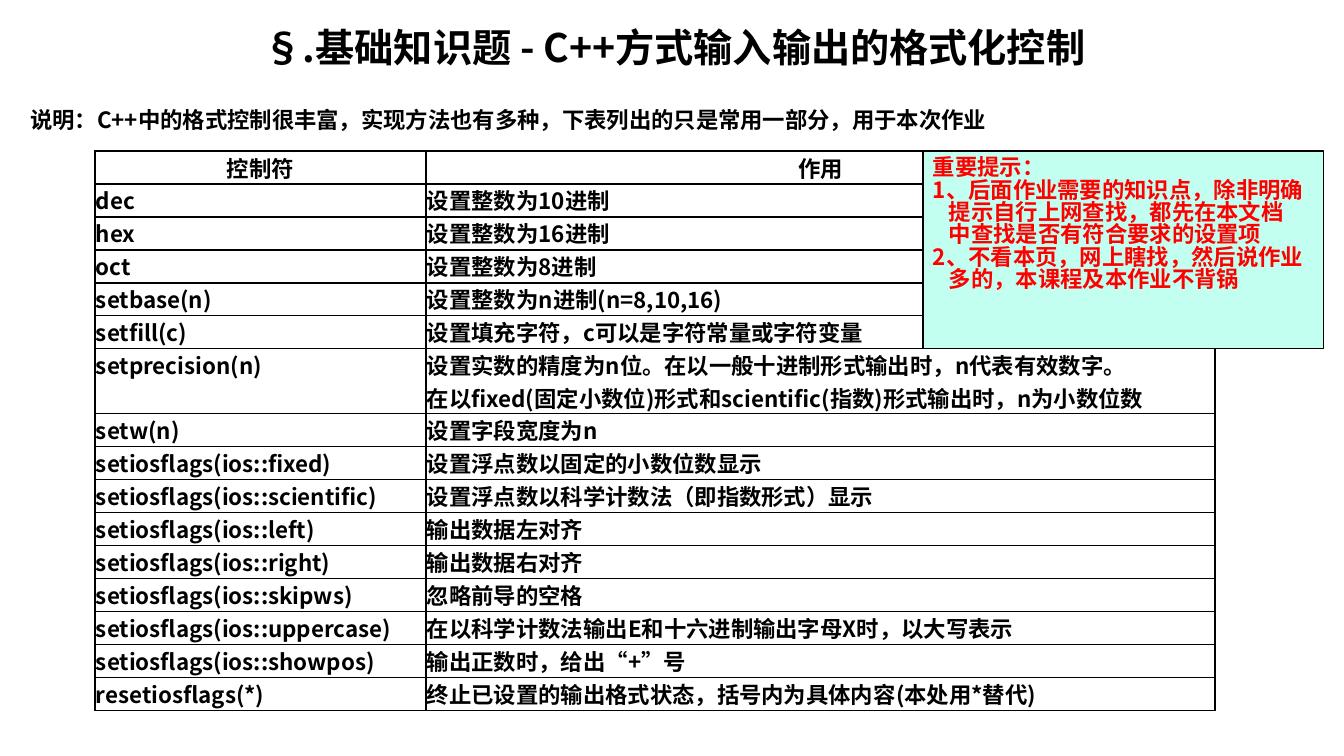
"""Build the slide on formatted input and output control in C++."""
from dataclasses import dataclass

from lxml.etree import SubElement
from pptx import Presentation
from pptx.dml.color import RGBColor
from pptx.enum.shapes import MSO_SHAPE as Shape
from pptx.enum.text import MSO_ANCHOR as Anchor, PP_ALIGN as Align
from pptx.oxml.ns import qn
from pptx.util import Pt

TITLE = "§.基础知识题 - C++方式输入输出的格式化控制"
INTRO = "说明：C++中的格式控制很丰富，实现方法也有多种，下表列出的只是常用一部分，用于本次作业"
HEADER = ("控制符", "作用")
CONTROLS = [
    ("dec", "设置整数为10进制"),
    ("hex", "设置整数为16进制"),
    ("oct", "设置整数为8进制"),
    ("setbase(n)", "设置整数为n进制(n=8,10,16)"),
    ("setfill(c)", "设置填充字符，c可以是字符常量或字符变量"),
    ("setprecision(n)", "设置实数的精度为n位。在以一般十进制形式输出时，n代表有效数字。\n"
     "在以fixed(固定小数位)形式和scientific(指数)形式输出时，n为小数位数"),
    ("setw(n)", "设置字段宽度为n"),
    ("setiosflags(ios::fixed)", "设置浮点数以固定的小数位数显示"),
    ("setiosflags(ios::scientific)", "设置浮点数以科学计数法（即指数形式）显示"),
    ("setiosflags(ios::left)", "输出数据左对齐"),
    ("setiosflags(ios::right)", "输出数据右对齐"),
    ("setiosflags(ios::skipws)", "忽略前导的空格"),
    ("setiosflags(ios::uppercase)", "在以科学计数法输出E和十六进制输出字母X时，以大写表示"),
    ("setiosflags(ios::showpos)", "输出正数时，给出“+”号"),
    ("resetiosflags(*)", "终止已设置的输出格式状态，括号内为具体内容(本处用*替代)"),
]
REMINDER = [
    ("重要提示：", 0),
    ("1、后面作业需要的知识点，除非明确", 0),
    ("提示自行上网查找，都先在本文档", 16),
    ("中查找是否有符合要求的设置项", 16),
    ("2、不看本页，网上瞎找，然后说作业", 0),
    ("多的，本课程及本作业不背锅", 16),
]

SLIDE_SIZE = (1344, 756)
TITLE_BOX = (20, 18, 1309, 58)
INTRO_BOX = (20, 104, 1309, 32)
TABLE_ORIGIN = (95, 151)
COLUMN_WIDTHS = (331, 789)
ROW_HEIGHT, EXTRA_LINE = 33, 32
REMINDER_BOX = (923, 151, 401, 198)


@dataclass(frozen=True)
class Theme:
    """Colours, font and type sizes of the slide."""
    font: str = "Noto Sans CJK SC"
    ink: RGBColor = RGBColor(0, 0, 0)
    alert: RGBColor = RGBColor(255, 0, 0)
    paper: RGBColor = RGBColor(255, 255, 255)
    mint: RGBColor = RGBColor(0xC2, 0xFF, 0xF0)
    title_size: int = 28
    text_size: int = 16


THEME = Theme()


def px(length):
    """Turn pixels into EMU."""
    return round(length * 914400 / 100.8)


def set_all(target, values):
    """Set each attribute of the target from a dict."""
    for name, value in values.items():
        setattr(target, name, value)


def place(shape, box):
    """Move and size a shape."""
    set_all(shape, dict(zip(("left", "top", "width", "height"), map(px, box))))


def write(paragraph, text, size=THEME.text_size, color=THEME.ink, align=Align.LEFT, indent=0):
    """Fill a paragraph with one bold run, without a bullet."""
    set_all(paragraph, {"alignment": align, "space_before": Pt(0)})
    properties = paragraph._p.get_or_add_pPr()
    properties.set("marL", str(px(indent)))
    properties.set("indent", "0")
    SubElement(properties, qn("a:buNone"))
    run = paragraph.add_run()
    run.text = text
    set_all(run.font, {"name": THEME.font, "size": Pt(size), "bold": True})
    run.font.color.rgb = color
    SubElement(run._r.get_or_add_rPr(), qn("a:ea")).set("typeface", THEME.font)


def write_lines(frame, lines, **style):
    """Write one paragraph a line."""
    for index, line in enumerate(lines):
        paragraph = frame.add_paragraph() if index else frame.paragraphs[0]
        write(paragraph, line, **style)


def add_borders(cell):
    """Draw a thin line on all four sides of a cell."""
    properties = cell._tc.get_or_add_tcPr()
    for side in ("lnL", "lnR", "lnT", "lnB"):
        line = SubElement(properties, qn("a:" + side), w=str(Pt(1)))
        fill = SubElement(line, qn("a:solidFill"))
        SubElement(fill, qn("a:srgbClr"), val=str(THEME.ink))


def add_controls_table(slide):
    """Add the table of format controls."""
    rows = [HEADER, *CONTROLS]
    heights = [ROW_HEIGHT + EXTRA_LINE * effect.count("\n") for _, effect in rows]
    box = (*TABLE_ORIGIN, sum(COLUMN_WIDTHS), sum(heights))
    table = slide.shapes.add_table(len(rows), len(HEADER), *map(px, box)).table
    set_all(table, {"first_row": False, "horz_banding": False})
    for column, width in zip(table.columns, COLUMN_WIDTHS):
        column.width = px(width)
    for row, height, texts in zip(table.rows, heights, rows):
        row.height = px(height)
        is_header = texts is HEADER
        for cell, text in zip(row.cells, texts):
            set_all(cell, {"margin_left": px(1), "margin_right": px(1),
                           "margin_top": 0, "margin_bottom": 0,
                           "vertical_anchor": Anchor.MIDDLE if is_header else Anchor.TOP})
            add_borders(cell)
            cell.fill.solid()
            cell.fill.fore_color.rgb = THEME.paper
            write_lines(cell.text_frame, text.split("\n"),
                        align=Align.CENTER if is_header else Align.LEFT)


def add_reminder(slide):
    """Add the coloured reminder box."""
    shape = slide.shapes.add_shape(Shape.RECTANGLE, *map(px, REMINDER_BOX))
    shape.shadow.inherit = False
    shape.fill.solid()
    shape.fill.fore_color.rgb = THEME.mint
    shape.line.color.rgb = THEME.ink
    shape.line.width = Pt(0.75)
    frame = shape.text_frame
    set_all(frame, {"word_wrap": True, "vertical_anchor": Anchor.TOP, "margin_top": px(7)})
    for index, (text, indent) in enumerate(REMINDER):
        paragraph = frame.add_paragraph() if index else frame.paragraphs[0]
        paragraph.line_spacing = 0.83
        write(paragraph, text, color=THEME.alert, indent=indent)


def main():
    """Build and save the presentation."""
    presentation = Presentation()
    set_all(presentation, dict(zip(("slide_width", "slide_height"), map(px, SLIDE_SIZE))))
    slide = presentation.slides.add_slide(presentation.slide_layouts[1])
    title, intro = slide.placeholders
    for shape, box in ((title, TITLE_BOX), (intro, INTRO_BOX)):
        place(shape, box)
        set_all(shape.text_frame, {"word_wrap": True, "vertical_anchor": Anchor.MIDDLE,
                                   "margin_top": 0, "margin_bottom": 0})
    write_lines(title.text_frame, [TITLE], size=THEME.title_size, align=Align.CENTER)
    write_lines(intro.text_frame, [INTRO])
    add_controls_table(slide)
    add_reminder(slide)
    presentation.save("out.pptx")


if __name__ == "__main__":
    main()
